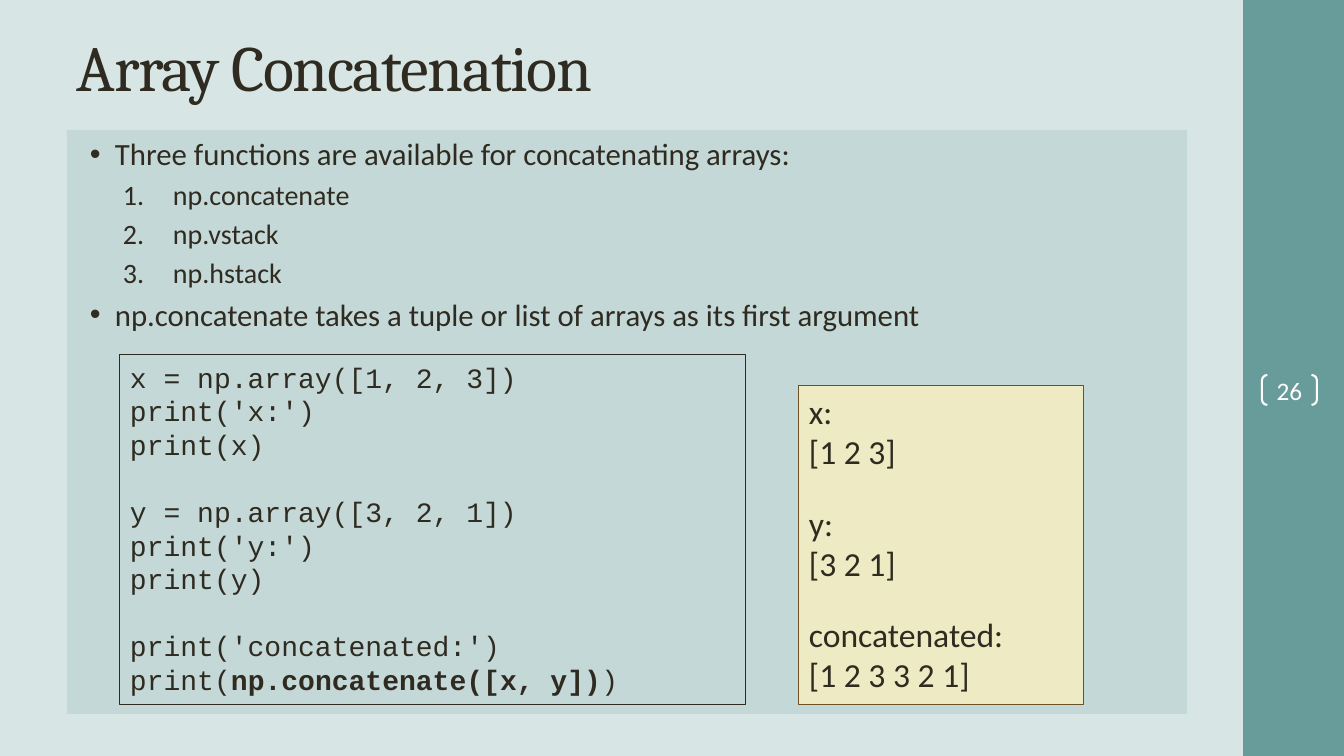
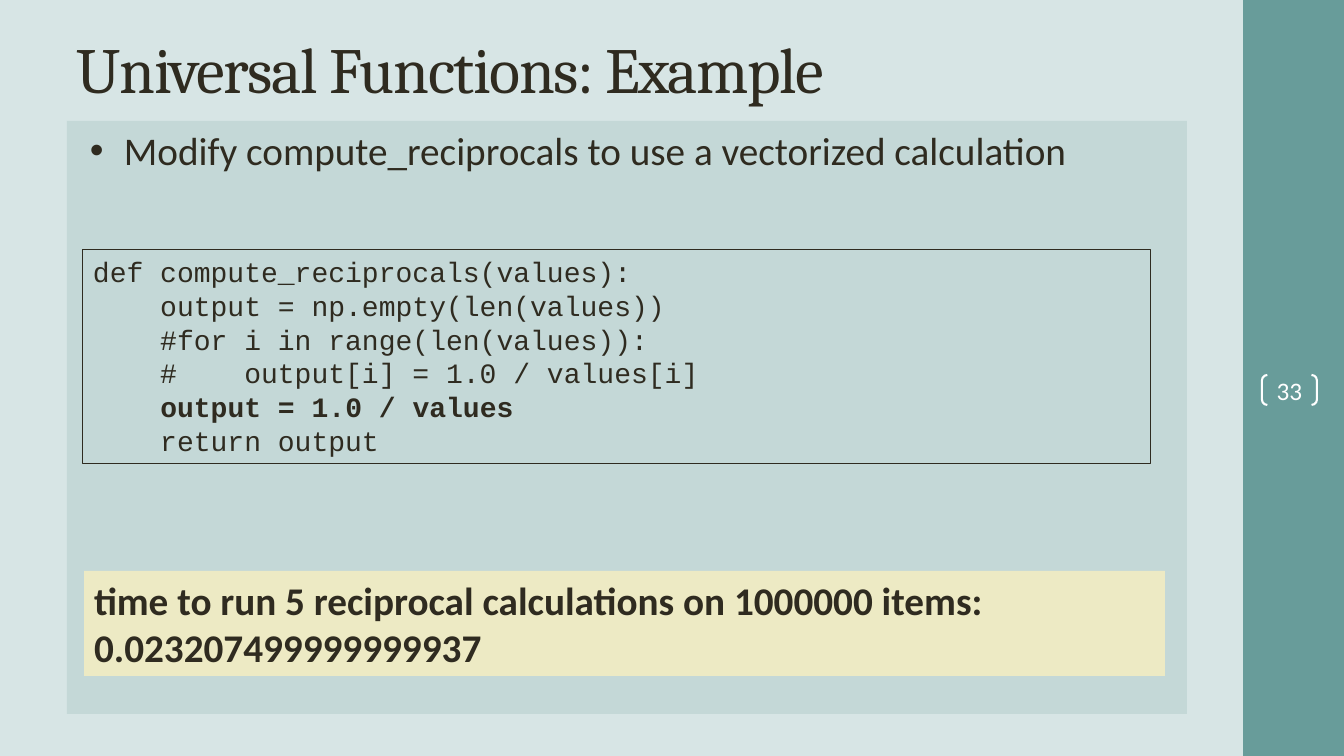
"""Build two slides on array functions in one shared style."""
from dataclasses import dataclass

from lxml import etree
from pptx import Presentation
from pptx.dml.color import RGBColor
from pptx.enum.shapes import MSO_SHAPE
from pptx.enum.text import MSO_ANCHOR, PP_ALIGN
from pptx.oxml.ns import qn
from pptx.util import Emu, Pt

RECTANGLE = MSO_SHAPE.RECTANGLE
BRACKETS = MSO_SHAPE.DOUBLE_BRACKET
TOP, MIDDLE = MSO_ANCHOR.TOP, MSO_ANCHOR.MIDDLE
LEFT, CENTER = PP_ALIGN.LEFT, PP_ALIGN.CENTER

PX_PER_INCH = 100.8
SLIDE_WIDTH, SLIDE_HEIGHT = 1344, 756
COLUMN_LEFT, COLUMN_WIDTH = 67, 1120
BODY_BOTTOM = 714
BAND_LEFT = 1243
DOT = ("buChar", {"char": "•"})
NUMBER = ("buAutoNum", {"type": "arabicPeriod"})


@dataclass(frozen=True)
class Theme:
    """Colours, typefaces and type sizes of the deck."""
    paper: str = "D7E5E5"
    band: str = "689C9A"
    panel: str = "C4D8D7"
    result: str = "EDEAC4"
    result_edge: str = "6D5225"
    ink: str = "2F2B20"
    white: str = "FFFFFF"
    heading_face: str = "Cambria"
    text_face: str = "Calibri"
    code_face: str = "Courier New"
    title_size: int = 46
    code_size: int = 20
    code_leading: int = 24
    number_size: int = 18


def px(length):
    """Turn pixels into EMU."""
    return Emu(round(length * 914400 / PX_PER_INCH))


def apply(target, formats):
    """Set each named attribute on the target."""
    for name, value in formats.items():
        setattr(target, name, value)


class SlideWriter:
    """Hold the style and the current slide, and draw elements on it."""

    def __init__(self, deck, theme):
        """Keep the deck and its theme."""
        self.deck, self.theme = deck, theme
        self.slide = None

    def start(self, title, title_top, title_height, body_top, number):
        """Add a slide with its band, title, body panel and page number."""
        theme = self.theme
        self.slide = self.deck.slides.add_slide(self.deck.slide_layouts[6])
        fill = self.slide.background.fill
        fill.solid()
        fill.fore_color.rgb = RGBColor.from_string(theme.paper)
        self.box((BAND_LEFT, 0, SLIDE_WIDTH - BAND_LEFT, SLIDE_HEIGHT), theme.band)
        self.title(title, title_top, title_height)
        self.page_number(number)
        return self.box((COLUMN_LEFT, body_top, COLUMN_WIDTH, BODY_BOTTOM - body_top),
                        theme.panel)

    def box(self, area, fill=None, edge=None, edge_width=0.75, shape=RECTANGLE,
            anchor=TOP, insets=(10, 5)):
        """Add a shape ready to hold text."""
        box = self.slide.shapes.add_shape(shape, *map(px, area))
        box.shadow.inherit = False
        for part, colour in ((box.fill, fill), (box.line.fill, edge)):
            if colour:
                part.solid()
                part.fore_color.rgb = RGBColor.from_string(colour)
            else:
                part.background()
        if edge:
            box.line.width = Pt(edge_width)
        side, end = map(px, insets)
        apply(box.text_frame, {
            "word_wrap": True, "vertical_anchor": anchor,
            "margin_left": side, "margin_right": side,
            "margin_top": end, "margin_bottom": end})
        return box

    def para(self, box, first):
        """Return the first paragraph or a new one."""
        frame = box.text_frame
        return frame.paragraphs[0] if first else frame.add_paragraph()

    def span(self, para, text, colour=None, **font):
        """Add a formatted run of text."""
        span = para.add_run()
        span.text = text
        apply(span.font, font)
        span.font.color.rgb = RGBColor.from_string(colour or self.theme.ink)
        return span

    def title(self, text, top, height):
        """Add the slide title."""
        box = self.slide.shapes.add_textbox(
            *map(px, (COLUMN_LEFT, top, COLUMN_WIDTH, height)))
        apply(box.text_frame, {"word_wrap": True, "vertical_anchor": MIDDLE})
        span = self.span(box.text_frame.paragraphs[0], text,
                         name=self.theme.heading_face, size=Pt(self.theme.title_size))
        span.font._element.set("spc", "-100")

    def page_number(self, number):
        """Add the bracketed page number on the band."""
        theme = self.theme
        box = self.box((1262, 375, 55, 30), edge=theme.white, edge_width=1.5,
                       shape=BRACKETS, anchor=MIDDLE, insets=(0, 0))
        box.adjustments[0] = 0.18
        para = box.text_frame.paragraphs[0]
        para.alignment = CENTER
        self.span(para, str(number), theme.white,
                  name=theme.text_face, size=Pt(theme.number_size))

    def bullets(self, box, items):
        """Fill a box with items of text, marker, size, indent and hang."""
        for index, (text, marker, size, indent, hang) in enumerate(items):
            para = self.para(box, index == 0)
            properties = para._p.get_or_add_pPr()
            properties.set("marL", str(px(indent)))
            properties.set("indent", str(px(-hang)))
            tag, values = marker
            etree.SubElement(properties, qn("a:buFont"), typeface="Arial")
            etree.SubElement(properties, qn(f"a:{tag}"), values)
            apply(para, {"alignment": LEFT, "level": int(marker is NUMBER),
                         "space_before": Pt(size * 0.2 if index else 0)})
            self.span(para, text, name=self.theme.text_face, size=Pt(size))

    def lines(self, box, text, gap, strong=None, leading=None, **font):
        """Write lines, with a gap for each empty one and strong words in bold."""
        space = 0
        for index, line in enumerate(text.splitlines()):
            if not line:
                space = gap
                continue
            para = self.para(box, index == 0)
            apply(para, {"alignment": LEFT, "space_before": Pt(space)})
            if leading:
                para.line_spacing = Pt(leading)
            space = 0
            parts = line.partition(strong) if strong else (line,)
            for part in filter(None, parts):
                weight = {"bold": True} if part == strong else {}
                self.span(para, part, **{**font, **weight})

    def code(self, area, text, strong):
        """Add a framed code listing."""
        theme = self.theme
        self.lines(self.box(area, edge=theme.ink), text, theme.code_leading, strong,
                   theme.code_leading, name=theme.code_face, size=Pt(theme.code_size))

    def result(self, area, text, size, edge=None, bold=False):
        """Add a box with the printed result."""
        theme = self.theme
        self.lines(self.box(area, theme.result, edge), text, 22,
                   name=theme.text_face, size=Pt(size), bold=bold)


CONCATENATE_CODE = """x = np.array([1, 2, 3])
print('x:')
print(x)

y = np.array([3, 2, 1])
print('y:')
print(y)

print('concatenated:')
print(np.concatenate([x, y]))"""

CONCATENATE_RESULT = """x:
[1 2 3]

y:
[3 2 1]

concatenated:
[1 2 3 3 2 1]"""

RECIPROCAL_CODE = """def compute_reciprocals(values):
    output = np.empty(len(values))
    #for i in range(len(values)):
    #    output[i] = 1.0 / values[i]
    output = 1.0 / values
    return output"""

RECIPROCAL_RESULT = """time to run 5 reciprocal calculations on 1000000 items:
0.023207499999999937"""


def concatenation_slide(writer):
    """Show how arrays are concatenated."""
    body = writer.start("Array Concatenation", 16, 99, 130, 26)
    functions = ("np.concatenate", "np.vstack", "np.hstack")
    writer.bullets(body, [
        ("Three functions are available for concatenating arrays:", DOT, 22, 38, 25),
        *((name, NUMBER, 20, 96, 50) for name in functions),
        ("np.concatenate takes a tuple or list of arrays as its first argument",
         DOT, 22, 38, 25)])
    writer.code((120, 355, 626, 350), CONCATENATE_CODE, "np.concatenate([x, y])")
    writer.result((799, 386, 285, 319), CONCATENATE_RESULT, 24,
                  writer.theme.result_edge)


def reciprocal_slide(writer):
    """Show a vectorized calculation and its running time."""
    body = writer.start("Universal Functions: Example", 15, 106, 121, 33)
    writer.bullets(body, [
        ("Modify compute_reciprocals to use a vectorized calculation",
         DOT, 28, 47, 34)])
    writer.code((83, 250, 1068, 214), RECIPROCAL_CODE, "output = 1.0 / values")
    writer.result((84, 571, 1081, 105), RECIPROCAL_RESULT, 28, bold=True)


def main():
    """Build and save the deck."""
    deck = Presentation()
    apply(deck, {"slide_width": px(SLIDE_WIDTH), "slide_height": px(SLIDE_HEIGHT)})
    writer = SlideWriter(deck, Theme())
    concatenation_slide(writer)
    reciprocal_slide(writer)
    deck.save("out.pptx")


if __name__ == "__main__":
    main()
